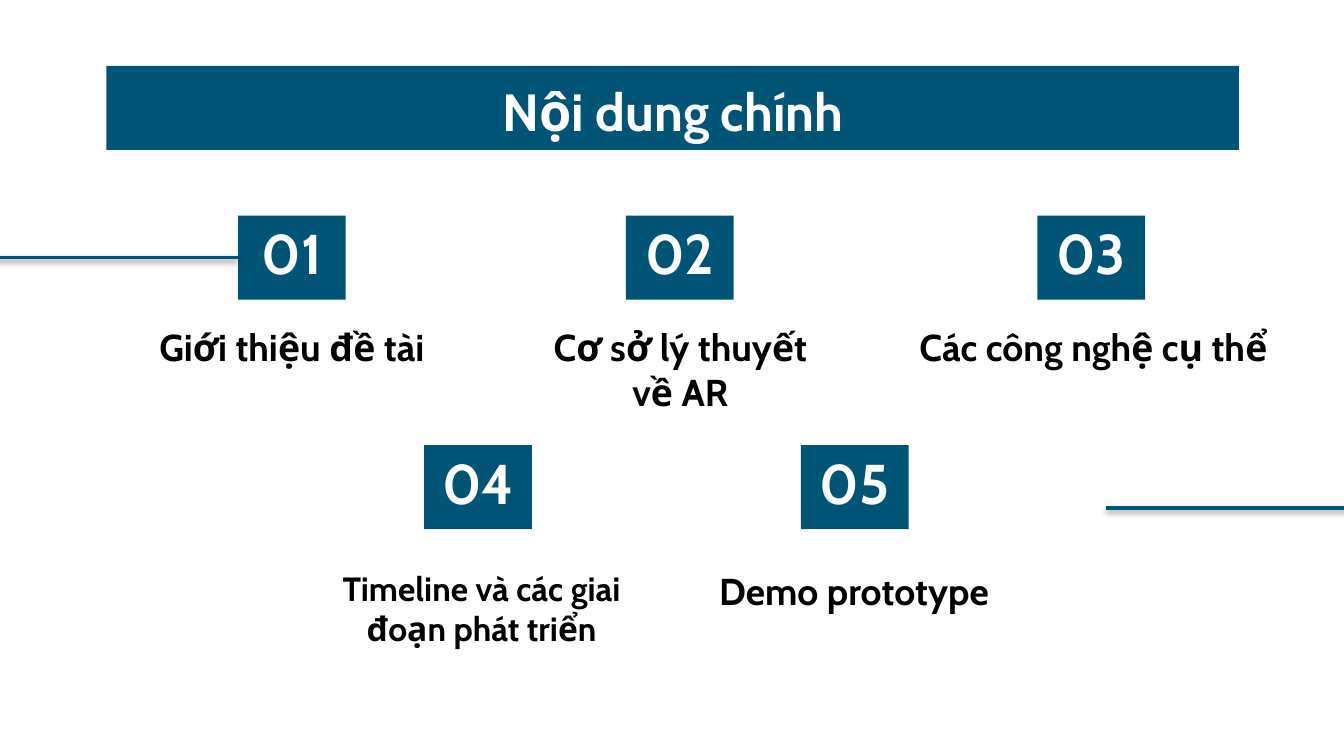
from dataclasses import dataclass

from lxml.etree import SubElement
from pptx import Presentation
from pptx.dml.color import RGBColor as RGB
from pptx.enum.shapes import MSO_CONNECTOR as CONN, MSO_SHAPE as SHAPE
from pptx.enum.text import MSO_ANCHOR as ANCHOR, MSO_AUTO_SIZE as FIT, PP_ALIGN as ALIGN
from pptx.oxml.ns import qn
from pptx.util import Pt

PX = 9525


@dataclass(frozen=True)
class Theme:
    font: str = "Cabin"
    accent: RGB = RGB(0x00, 0x54, 0x75)
    light: RGB = RGB(0xFF, 0xFF, 0xFF)
    dark: RGB = RGB(0x00, 0x00, 0x00)
    title: int = 28
    number: int = 30
    caption: int = 20
    small: int = 18
    rule: int = 2


THEME = Theme()
BADGE_W, BADGE_H = 77, 60
CAPTION_H = 78


def px(*values):
    return [v * PX for v in values]


def write(sp, text, size, color, anchor=ANCHOR.TOP):
    tf = sp.text_frame
    tf.word_wrap = True
    tf.auto_size = FIT.NONE
    tf.vertical_anchor = anchor
    tf.margin_left = tf.margin_right = tf.margin_top = tf.margin_bottom = Pt(7.2)
    p = tf.paragraphs[0]
    p.alignment = ALIGN.CENTER
    r = p.add_run()
    r.text = text
    r.font.name = THEME.font
    r.font.size = Pt(size)
    r.font.bold = True
    r.font.color.rgb = color


def fill(sp):
    sp.fill.solid()
    sp.fill.fore_color.rgb = THEME.accent
    sp.line.fill.background()


def add_title(s, box, text):
    sp = s.shapes.title
    sp.left, sp.top, sp.width, sp.height = px(*box)
    fill(sp)
    write(sp, text, THEME.title, THEME.light)


def add_topic(s, box, badge_dx, caption_dy, number, text, size):
    x, y, w = box
    badge = s.shapes.add_shape(SHAPE.RECTANGLE, *px(x + badge_dx, y, BADGE_W, BADGE_H))
    badge.shadow.inherit = False
    fill(badge)
    write(badge, f"{number:02d}", THEME.number, THEME.light, ANCHOR.BOTTOM)
    caption = s.shapes.add_textbox(*px(x, y + caption_dy, w, CAPTION_H))
    write(caption, text, size, THEME.dark)
    return badge


def add_rule(s, x1, x2, y):
    line = s.shapes.add_connector(CONN.STRAIGHT, *px(x1, y, x2, y))
    line.line.color.rgb = THEME.accent
    line.line.width = Pt(THEME.rule)
    effects = SubElement(line._element.spPr, qn("a:effectLst"))
    shadow = SubElement(effects, qn("a:outerShdw"), blurRad="40000", dist="20000",
                        dir="5400000", rotWithShape="0")
    color = SubElement(shadow, qn("a:srgbClr"), val=str(THEME.dark))
    SubElement(color, qn("a:alpha"), val="38000")
    return line


def main():
    prs = Presentation()
    prs.slide_width, prs.slide_height = px(960, 540)
    s = prs.slides.add_slide(prs.slide_layouts[5])
    add_title(s, (76, 47, 809, 60), "Nội dung chính")

    rows = [
        (154, 68, [
            (87, 243, 83, "Giới thiệu đề tài", THEME.caption),
            (370, 232, 77, "Cơ sở lý thuyết về AR", THEME.caption),
            (645, 272, 96, "Các công nghệ cụ thể", THEME.caption),
        ]),
        (318, 78, [
            (208, 272, 95, "Timeline và các giai đoạn phát triển", THEME.small),
            (504, 212, 68, "Demo prototype", THEME.caption),
        ]),
    ]
    badges = []
    for y, caption_dy, topics in rows:
        for x, w, badge_dx, text, size in topics:
            badges.append(add_topic(s, (x, y, w), badge_dx, caption_dy,
                                    len(badges) + 1, text, size))

    lead = add_rule(s, -5, 170, 184)
    lead.end_connect(badges[0], 1)
    add_rule(s, 790, 963, 363)
    prs.save("out.pptx")


if __name__ == "__main__":
    main()
